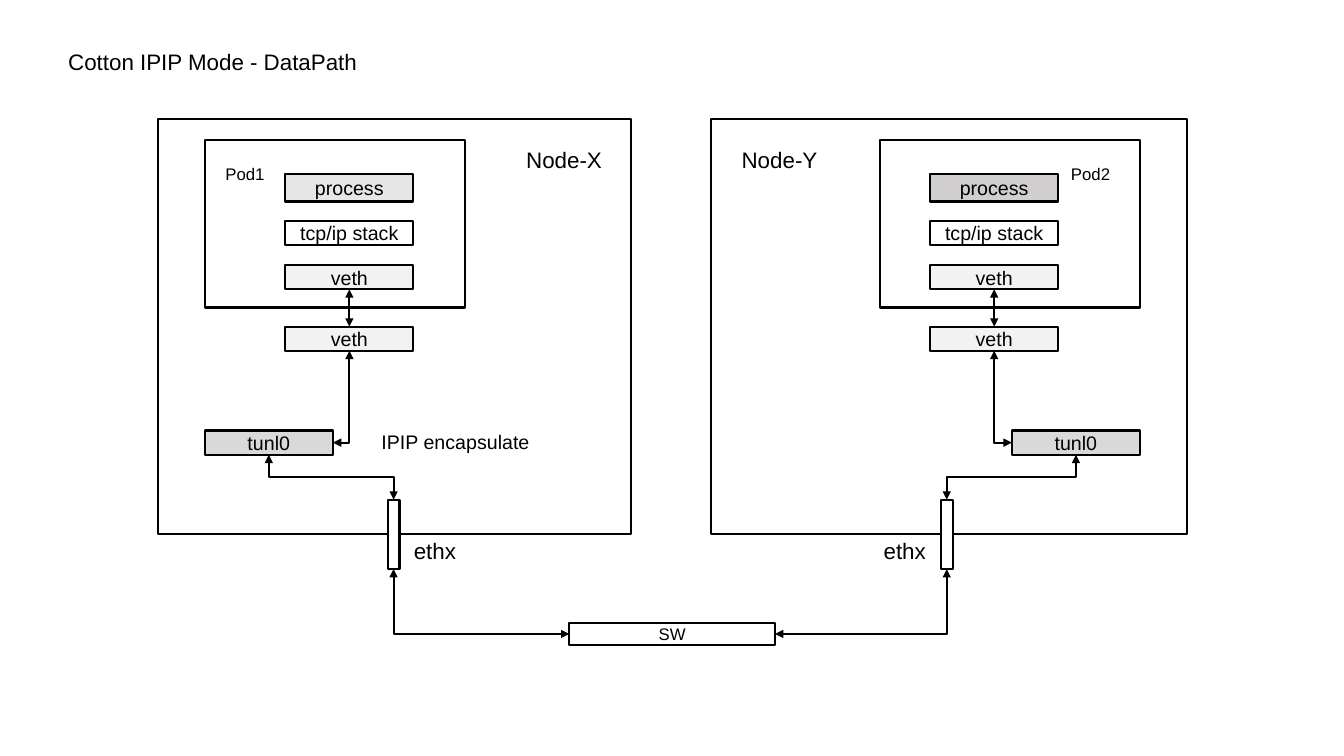
from dataclasses import dataclass

from lxml import etree
from pptx import Presentation
from pptx.dml.color import RGBColor
from pptx.enum.shapes import MSO_CONNECTOR as Link, MSO_SHAPE
from pptx.enum.text import MSO_ANCHOR, MSO_AUTO_SIZE, PP_ALIGN
from pptx.oxml.ns import qn
from pptx.shapes.connector import Connector
from pptx.shapes.shapetree import SlideShapes
from pptx.text.text import TextFrame
from pptx.util import Cm, Pt

BLACK, WHITE = "000000", "FFFFFF"
LINE_WIDTH = Pt(1.5)
LAYER_WIDTH, LAYER_HEIGHT = 3.23, 0.61
POD_VETH_TOP, HOST_VETH_TOP, TUNNEL_TOP = 6.68, 8.23, 10.85
NIC_TOP, NIC_WIDTH, NIC_HEIGHT = 12.59, 0.3, 1.75
SWITCH_LEFT, SWITCH_TOP, SWITCH_WIDTH, SWITCH_HEIGHT = 14.35, 15.7, 5.18, 0.55

Point = tuple[float, float]


@dataclass(frozen=True)
class Box:
    left: float
    top: float
    width: float
    height: float

    @property
    def right(self) -> float:
        return self.left + self.width

    @property
    def bottom(self) -> float:
        return self.top + self.height

    @property
    def center_x(self) -> float:
        return self.left + self.width / 2

    @property
    def middle_y(self) -> float:
        return self.top + self.height / 2

    def lengths(self) -> tuple[Cm, Cm, Cm, Cm]:
        return Cm(self.left), Cm(self.top), Cm(self.width), Cm(self.height)


@dataclass(frozen=True)
class Node:
    name: str
    pod: str
    left: float
    width: float
    name_left: float
    pod_left: float
    pod_name_left: float
    layer_left: float
    process_fill: str
    tunnel_left: float
    nic_center: float
    nic_name_left: float


NODES = [
    Node("Node-X", "Pod1", 3.99, 11.91, 12.78, 5.16, 5.36, 7.19,
         "E7E6E6", 5.16, 9.92, 9.6),
    Node("Node-Y", "Pod2", 17.91, 12.01, 18.21, 22.17, 26.67, 23.44,
         "D0CECE", 25.5, 23.86, 21.44),
]


def color(value: str) -> RGBColor:
    return RGBColor.from_string(value)


def write(frame: TextFrame, text: str, *, size: float = 14,
          align: PP_ALIGN = PP_ALIGN.CENTER, wrap: bool = True,
          anchor: MSO_ANCHOR = MSO_ANCHOR.TOP) -> None:
    frame.word_wrap = wrap
    frame.vertical_anchor = anchor
    paragraph = frame.paragraphs[0]
    paragraph.alignment = align
    run = paragraph.add_run()
    run.text = text
    run.font.name = "Arial"
    run.font.size = Pt(size)
    run.font.color.rgb = color(BLACK)


def draw_label(shapes: SlideShapes, box: Box, text: str, size: float,
               align: PP_ALIGN = PP_ALIGN.CENTER, wrap: bool = True) -> None:
    frame = shapes.add_textbox(*box.lengths()).text_frame
    frame.auto_size = MSO_AUTO_SIZE.SHAPE_TO_FIT_TEXT
    write(frame, text, size=size, align=align, wrap=wrap)


def draw_box(shapes: SlideShapes, box: Box, fill: str | None = WHITE,
             text: str = "", size: float = 14) -> Box:
    rectangle = shapes.add_shape(MSO_SHAPE.RECTANGLE, *box.lengths())
    rectangle.shadow.inherit = False
    if fill:
        rectangle.fill.solid()
        rectangle.fill.fore_color.rgb = color(fill)
    else:
        rectangle.fill.background()
    rectangle.line.color.rgb = color(BLACK)
    rectangle.line.width = LINE_WIDTH
    if text:
        write(rectangle.text_frame, text, size=size, anchor=MSO_ANCHOR.MIDDLE)
    return box


def draw_arrow(shapes: SlideShapes, begin: Point, end: Point,
               kind: Link = Link.STRAIGHT) -> Connector:
    arrow = shapes.add_connector(kind, *map(Cm, begin + end))
    arrow.line.color.rgb = color(BLACK)
    arrow.line.width = LINE_WIDTH
    outline = arrow.line._get_or_add_ln()
    for tip in ("a:headEnd", "a:tailEnd"):
        etree.SubElement(outline, qn(tip), type="triangle")
    etree.SubElement(arrow.element.spPr, qn("a:effectLst"))
    return arrow


def draw_corner(shapes: SlideShapes, begin: Point, end: Point) -> None:
    arrow = draw_arrow(shapes, begin, end, Link.ELBOW)
    arrow.element.spPr.find(qn("a:prstGeom")).set("prst", "bentConnector2")


def draw_vertical_step(shapes: SlideShapes, upper: Point, lower: Point) -> None:
    center_x, middle_y = (upper[0] + lower[0]) / 2, (upper[1] + lower[1]) / 2
    half_run, half_drop = (lower[0] - upper[0]) / 2, (lower[1] - upper[1]) / 2
    arrow = draw_arrow(shapes, (center_x - half_drop, middle_y + half_run),
                       (center_x + half_drop, middle_y - half_run), Link.ELBOW)
    arrow.element.spPr.find(qn("a:xfrm")).set("rot", "5400000")


def draw_node(shapes: SlideShapes, node: Node, switch: Box) -> None:
    def layer(top: float, fill: str | None, text: str,
              height: float = LAYER_HEIGHT) -> Box:
        return draw_box(shapes, Box(node.layer_left, top, LAYER_WIDTH, height), fill, text)

    draw_box(shapes, Box(node.left, 3, node.width, 10.46))
    draw_box(shapes, Box(node.pod_left, 3.53, 6.55, 4.22))
    draw_label(shapes, Box(node.pod_name_left, 4.01, 1.63, 0.76), node.pod, 12)
    draw_label(shapes, Box(node.name_left, 3.56, 2.87, 0.94), node.name, 16)

    layer(4.39, node.process_fill, "process", 0.69)
    layer(5.56, None, "tcp/ip stack")
    pod_veth = layer(POD_VETH_TOP, "F2F2F2", "veth")
    host_veth = layer(HOST_VETH_TOP, "F2F2F2", "veth")
    tunnel = draw_box(shapes, Box(node.tunnel_left, TUNNEL_TOP, LAYER_WIDTH, LAYER_HEIGHT),
                      "D9D9D9", "tunl0")
    nic = draw_box(shapes, Box(node.nic_center - NIC_WIDTH / 2, NIC_TOP, NIC_WIDTH, NIC_HEIGHT))
    draw_label(shapes, Box(node.nic_name_left, 13.41, 2.72, 0.94), "ethx", 16)

    veth_x = host_veth.center_x
    tunnel_side = tunnel.right if tunnel.center_x < veth_x else tunnel.left
    switch_side = switch.left if nic.center_x < switch.center_x else switch.right
    draw_arrow(shapes, (veth_x, pod_veth.bottom), (veth_x, host_veth.top))
    draw_corner(shapes, (tunnel_side, tunnel.middle_y), (veth_x, host_veth.bottom))
    draw_vertical_step(shapes, (tunnel.center_x, tunnel.bottom), (nic.center_x, nic.top))
    draw_corner(shapes, (switch_side, switch.middle_y), (nic.center_x, nic.bottom))


def main() -> None:
    deck = Presentation()
    deck.slide_width, deck.slide_height = Cm(33.87), Cm(19.05)
    shapes = deck.slides.add_slide(deck.slide_layouts[6]).shapes

    draw_label(shapes, Box(1.47, 1.09, 7.8, 0.94), "Cotton IPIP Mode - DataPath", 16,
               align=PP_ALIGN.LEFT, wrap=False)
    switch = draw_box(shapes, Box(SWITCH_LEFT, SWITCH_TOP, SWITCH_WIDTH, SWITCH_HEIGHT),
                      text="SW", size=12)
    for node in NODES:
        draw_node(shapes, node, switch)
    draw_label(shapes, Box(8.94, 10.72, 5.08, 0.86), "IPIP encapsulate", 14)

    deck.save("out.pptx")


if __name__ == "__main__":
    main()
